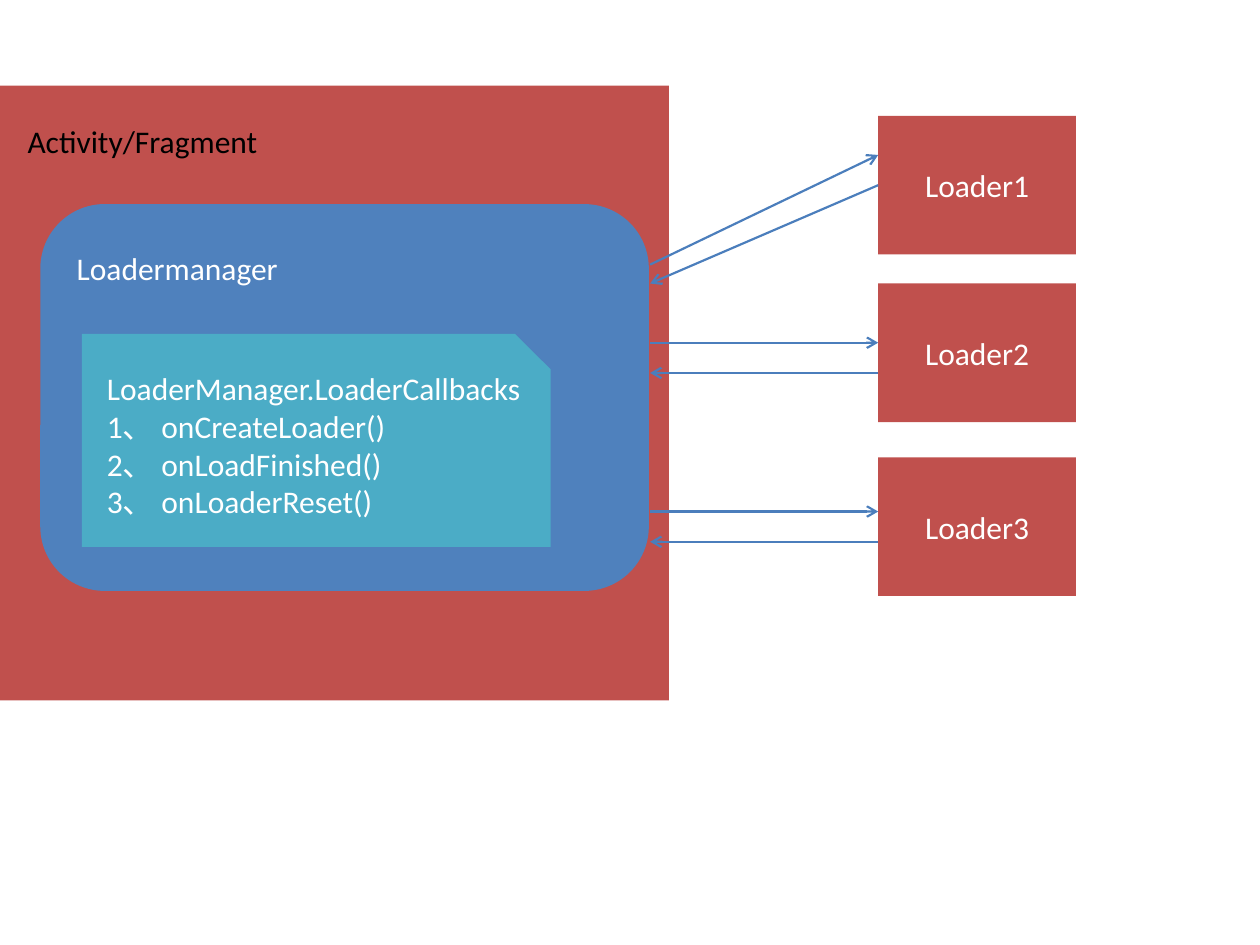
import pptx
import pptx.util
import pptx.dml.color
import pptx.enum.shapes
import pptx.enum.text
import pptx.oxml.ns
import lxml.etree

THEME = dict(font="Calibri", size=18, line_width=1.25, red="C0504D", blue="4F81BD",
             teal="4BACC6", arrow="4B7EBC", light="FFFFFF", dark="000000")

COLS, ROWS = 100, 75
PANELS = [
    ("RECTANGLE", "red", (0, 6.8, 53.1, 48.8)),
    ("ROUNDED_RECTANGLE", "blue", (3.2, 16.2, 48.3, 30.7)),
    ("SNIP_1_RECTANGLE", "teal", (6.5, 26.5, 37.2, 16.9)),
]
LABELS = [
    (["Activity/Fragment"], "dark", (1.2, 9.2, 20.5, 4)),
    (["Loadermanager"], "light", (5.1, 19.3, 18.2, 4)),
    (["LoaderManager.LoaderCallbacks", "1、 onCreateLoader()",
      "2、 onLoadFinished()", "3、 onLoaderReset()"], "light", (7.5, 28.8, 35.2, 16.2)),
]
LOADER_X, LOADER_W, LOADER_H = 69.7, 15.7, 11
MANAGER_X = 51.6
LOADERS = [
    ("Loader1", 9.2, (21, 12.3), (14.7, 22.5)),
    ("Loader2", 22.5, (27.2, 27.2), (29.6, 29.6)),
    ("Loader3", 36.3, (40.6, 40.6), (43, 43)),
]

prs = pptx.Presentation()
prs.slide_width = pptx.util.Inches(10)
prs.slide_height = pptx.util.Inches(7.5)
s = prs.slides.add_slide(prs.slide_layouts[6])


def x(col):
    return round(prs.slide_width * col / COLS)


def y(row):
    return round(prs.slide_height * row / ROWS)


def place(box):
    left, top, width, height = box
    return x(left), y(top), x(width), y(height)


def rgb(name):
    return pptx.dml.color.RGBColor.from_string(THEME[name])


def write(tf, lines, color="light", align="LEFT", anchor="TOP", wrap=True):
    tf.word_wrap = wrap
    tf.vertical_anchor = getattr(pptx.enum.text.MSO_ANCHOR, anchor)
    for i, line in enumerate(lines):
        p = tf.paragraphs[0] if i == 0 else tf.add_paragraph()
        p.alignment = getattr(pptx.enum.text.PP_ALIGN, align)
        r = p.add_run()
        r.text = line
        r.font.name = THEME["font"]
        r.font.size = pptx.util.Pt(THEME["size"])
        r.font.color.rgb = rgb(color)


def add_block(kind, fill, box):
    sp = s.shapes.add_shape(getattr(pptx.enum.shapes.MSO_SHAPE, kind), *place(box))
    sp.shadow.inherit = False
    sp.fill.solid()
    sp.fill.fore_color.rgb = rgb(fill)
    sp.line.fill.background()
    return sp


def add_arrow(x1, y1, x2, y2):
    c = s.shapes.add_connector(pptx.enum.shapes.MSO_CONNECTOR.STRAIGHT,
                               x(x1), y(y1), x(x2), y(y2))
    c.line.color.rgb = rgb("arrow")
    c.line.width = pptx.util.Pt(THEME["line_width"])
    qn = pptx.oxml.ns.qn
    lxml.etree.SubElement(c.line._get_or_add_ln(), qn("a:tailEnd"), type="arrow")
    lxml.etree.SubElement(c._element.spPr, qn("a:effectLst"))


for panel in PANELS:
    add_block(*panel)

for lines, color, box in LABELS:
    tf = s.shapes.add_textbox(*place(box)).text_frame
    write(tf, lines, color=color, wrap=False)
    tf.auto_size = pptx.enum.text.MSO_AUTO_SIZE.SHAPE_TO_FIT_TEXT

for name, top, (out_y1, out_y2), (back_y1, back_y2) in LOADERS:
    sp = add_block("RECTANGLE", "red", (LOADER_X, top, LOADER_W, LOADER_H))
    write(sp.text_frame, [name], align="CENTER", anchor="MIDDLE")
    add_arrow(MANAGER_X, out_y1, LOADER_X, out_y2)
    add_arrow(LOADER_X, back_y1, MANAGER_X, back_y2)

prs.save("out.pptx")
